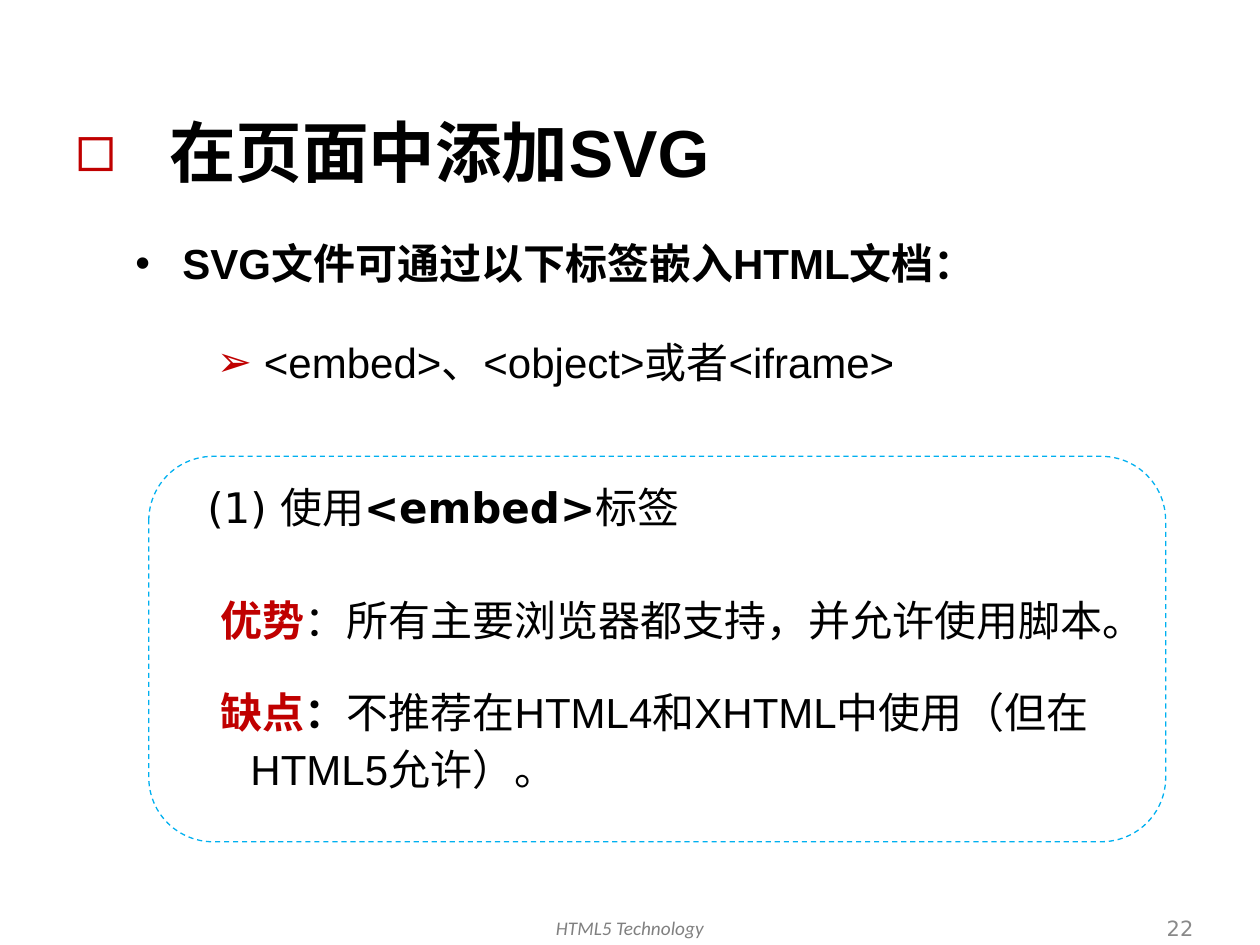
"""Build the slide on adding SVG to a page."""
from lxml.etree import SubElement
from pptx import Presentation
from pptx.dml.color import RGBColor as Rgb
from pptx.enum.dml import MSO_LINE as Dash
from pptx.enum.shapes import MSO_SHAPE as Kind
from pptx.enum.text import MSO_ANCHOR as Anchor, MSO_AUTO_SIZE as Fit, PP_ALIGN as Align
from pptx.oxml.ns import qn
from pptx.util import Cm, Pt

BLACK, RED, BLUE = "000000", "C00000", "00B0F0"
SANS, WIDE, EAST = "Arial", "DejaVu Sans", "Noto Sans CJK SC"

TITLE = [("在页面中添加SVG", SANS, BLACK, True)]
LEAD = [
    ("SVG", SANS, BLACK, True),
    ("文件可通过以下标签嵌入", EAST, BLACK, True),
    ("HTML", SANS, BLACK, True),
    ("文档：", EAST, BLACK, True),
]
TAGS = [
    ("<embed>", SANS, BLACK, False),
    ("、", WIDE, BLACK, False),
    ("<object>", SANS, BLACK, False),
    ("或者", WIDE, BLACK, False),
    ("<iframe>", SANS, BLACK, False),
]
HEAD = [
    ("(1) 使用", WIDE, BLACK, False),
    ("<embed>", WIDE, BLACK, True),
    ("标签", WIDE, BLACK, False),
]
PROS = [
    ("优势", WIDE, RED, True),
    ("：所有主要浏览器都支持，并允许使用脚本。", WIDE, BLACK, False),
]
CONS = [
    ("缺点", SANS, RED, True),
    ("：", SANS, BLACK, True),
    ("不推荐在HTML4和XHTML中使用（但在HTML5允许）。", SANS, BLACK, False),
]
FOOT = [("HTML5 Technology", "Calibri", "808080", False)]
PAGE = [("22", WIDE, "898989", False)]


def tint(code):
    return Rgb.from_string(code)


def place(shape, box):
    shape.left, shape.top, shape.width, shape.height = map(Cm, box)


def write(shape, runs, size=24, anchor=Anchor.TOP, align=Align.LEFT, lead=1.0):
    frame = shape.text_frame
    frame.word_wrap, frame.auto_size = True, Fit.NONE
    frame.vertical_anchor = anchor
    para = frame.paragraphs[0]
    para.alignment, para.line_spacing = align, lead
    para.space_before = Pt(0)
    for text, name, color, bold in runs:
        run = para.add_run()
        run.text = text
        font = run.font
        font.name, font.size, font.bold = name, Pt(size), bold
        font.color.rgb = tint(color)
        SubElement(font._element, qn("a:ea"), typeface=EAST)
    return para


def indent(para, width, mark=None, color=BLACK):
    props = para._p.get_or_add_pPr()
    props.set("marL", str(Cm(width)))
    props.set("indent", str(-Cm(width)))
    if mark:
        fill = SubElement(props, qn("a:buClr"))
        SubElement(fill, qn("a:srgbClr"), val=color)
        SubElement(props, qn("a:buFont"), typeface=SANS)
        SubElement(props, qn("a:buChar"), char=mark)


def label(shapes, box, runs, **style):
    return write(shapes.add_textbox(*map(Cm, box)), runs, **style)


def panel(shapes, box):
    shape = shapes.add_shape(Kind.ROUNDED_RECTANGLE, *map(Cm, box))
    shape.shadow.inherit = False
    shape.fill.background()
    shape.line.fill.background()
    return shape


def main():
    deck = Presentation()
    deck.slide_width, deck.slide_height = Cm(25.4), Cm(19.05)
    slide = deck.slides.add_slide(deck.slide_layouts[5])
    shapes = slide.shapes

    title = shapes.title
    place(title, (1.27, 2.11, 22.23, 2.49))
    indent(write(title, TITLE, size=38), 1.89, "◻", RED)

    lead = panel(shapes, (2.41, 4.6, 17.68, 1.42))
    indent(write(lead, LEAD), 0.95, "•")

    tags = panel(shapes, (4.04, 6.43, 21.2, 1.68))
    indent(write(tags, TAGS, lead=Pt(33)), 0.95, "➢", RED)

    group = shapes.add_group_shape().shapes
    frame = panel(group, (3, 9.2, 20.5, 7.77))
    frame.line.color.rgb = tint(BLUE)
    frame.line.width, frame.line.dash_style = Pt(0.75), Dash.DASH
    frame.text_frame.margin_left = Cm(0.8)
    write(frame, HEAD)

    label(group, (4.2, 11.71, 18.82, 1.32), PROS, lead=Pt(33))
    indent(label(group, (4.2, 13.56, 18.82, 2.49), CONS, lead=Pt(33)), 0.6)

    foot = label(shapes, (8.18, 18.34, 9.04, 0.71), FOOT, size=11, align=Align.CENTER)
    foot.runs[0].font.italic = True
    label(shapes, (18.59, 18.34, 5.72, 0.74), PAGE, size=12,
          anchor=Anchor.MIDDLE, align=Align.RIGHT)
    deck.save("out.pptx")


if __name__ == "__main__":
    main()
